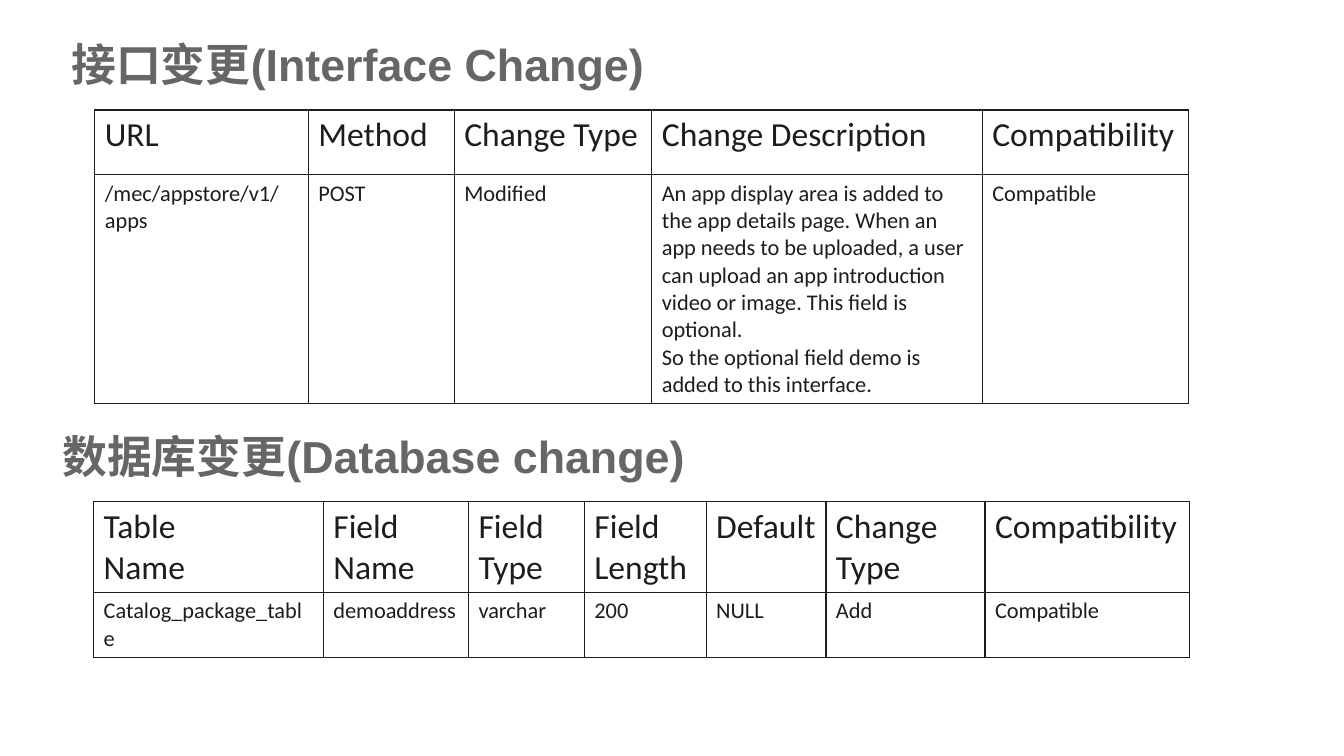
from lxml.etree import SubElement as Sub
from pptx import Presentation
from pptx.dml.color import RGBColor
from pptx.enum.text import MSO_ANCHOR as Anchor, PP_ALIGN as Align
from pptx.oxml.ns import qn
from pptx.util import Cm, Pt

GREY = RGBColor(0x66, 0x66, 0x66)
INK = RGBColor(0x1D, 0x1D, 0x1A)
HEADING_HEIGHT = 1.7

INTERFACE_ROWS = [
    ["URL", "Method", "Change Type", "Change Description", "Compatibility"],
    ["/mec/appstore/v1/apps", "POST", "Modified",
     "An app display area is added to the app details page. When an app needs "
     "to be uploaded, a user can upload an app introduction video or image. "
     "This field is optional.\vSo the optional field demo is added to this interface.",
     "Compatible"],
]
DATABASE_ROWS = [
    ["Table\nName", "Field Name", "Field Type", "Field Length", "Default",
     "Change Type", "Compatibility"],
    ["Catalog_package_table", "demoaddress", "varchar", "200", "NULL", "Add",
     "Compatible"],
]


def write(tf, text, size, font="Calibri", color=INK, bold=False, spacing=None):
    """Fill a text frame, one paragraph per line of text."""
    tf.word_wrap = True
    tf.text = text
    for p in tf.paragraphs:
        p.alignment = Align.LEFT
        if spacing:
            p.line_spacing = Pt(spacing)
        for r in p.runs:
            r.font.name = font
            r.font.size = Pt(size)
            r.font.bold = bold
            r.font.color.rgb = color


def add_borders(cell):
    """Draw a thin dark line on all four sides of a cell."""
    tcPr = cell._tc.get_or_add_tcPr()
    for side in ("a:lnL", "a:lnR", "a:lnT", "a:lnB"):
        ln = Sub(tcPr, qn(side), w=str(Pt(1)))
        Sub(Sub(ln, qn("a:solidFill")), qn("a:srgbClr"), val=str(INK))


def add_heading(sp, text, box):
    """Place a bold grey heading at the top of the box."""
    left, top, width = box
    sp.left, sp.top = Cm(left), Cm(top)
    sp.width, sp.height = Cm(width), Cm(HEADING_HEIGHT)
    tf = sp.text_frame
    tf.margin_left = tf.margin_right = tf.margin_top = tf.margin_bottom = 0
    tf.vertical_anchor = Anchor.TOP
    write(tf, text, 32, font="Arial", color=GREY, bold=True, spacing=34.3)


def add_grid(s, rows, box, widths, heights):
    """Place a bordered table with a large header row below the heading."""
    left, top, _ = box
    table = s.shapes.add_table(
        len(rows), len(widths), Cm(left), Cm(top + HEADING_HEIGHT),
        Cm(sum(widths)), Cm(sum(heights))).table
    table.first_row = table.horz_banding = False
    for column, width in zip(table.columns, widths):
        column.width = Cm(width)
    for row, height, texts, size in zip(table.rows, heights, rows, (24, 16)):
        row.height = Cm(height)
        for cell, text in zip(row.cells, texts):
            write(cell.text_frame, text, size)
            add_borders(cell)
            cell.fill.background()


def add_section(s, sp, heading, rows, box, indent, widths, heights):
    """Place a heading and its indented table in the box."""
    left, top, width = box
    add_heading(sp, heading, box)
    add_grid(s, rows, (left + indent, top, width - indent), widths, heights)


def main():
    """Build the slide of interface and database changes."""
    prs = Presentation()
    prs.slide_width, prs.slide_height = Cm(33.88), Cm(19.05)
    s = prs.slides.add_slide(prs.slide_layouts[5])
    add_section(s, s.shapes.title, "接口变更(Interface Change)", INTERFACE_ROWS,
                (1.8, 1.07, 29.82), 0.59,
                [5.38, 3.68, 4.98, 8.33, 5.21], [1.63, 4.29])
    add_section(s, s.shapes.add_textbox(0, 0, 0, 0), "数据库变更(Database change)",
                DATABASE_ROWS, (1.57, 10.94, 29.82), 0.79,
                [5.79, 3.66, 2.92, 3.07, 3.02, 4.01, 5.16], [2.08, 1.65])
    prs.save("out.pptx")


if __name__ == "__main__":
    main()
